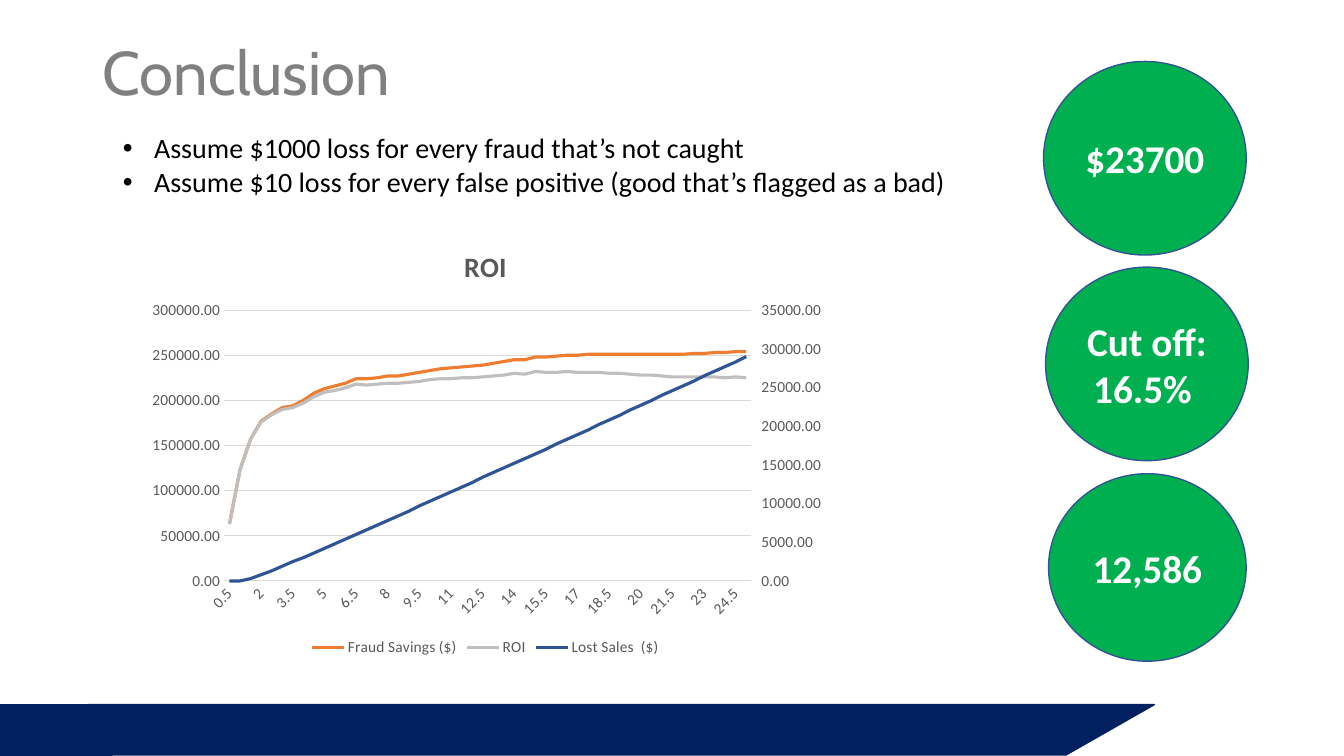
from copy import deepcopy
from dataclasses import dataclass

from pptx import Presentation
from pptx.chart.data import CategoryChartData
from pptx.dml.color import RGBColor
from pptx.enum.chart import XL_CHART_TYPE, XL_LEGEND_POSITION, XL_MARKER_STYLE, XL_TICK_MARK
from pptx.enum.shapes import MSO_SHAPE
from pptx.enum.text import MSO_ANCHOR, PP_ALIGN
from pptx.oxml import parse_xml
from pptx.oxml.ns import nsdecls
from pptx.util import Pt

LINE_CHART = XL_CHART_TYPE.LINE
LEGEND_BOTTOM = XL_LEGEND_POSITION.BOTTOM
NO_MARKER = XL_MARKER_STYLE.NONE
NO_TICK = XL_TICK_MARK.NONE
RECTANGLE = MSO_SHAPE.RECTANGLE
PARALLELOGRAM = MSO_SHAPE.PARALLELOGRAM
OVAL = MSO_SHAPE.OVAL
MIDDLE = MSO_ANCHOR.MIDDLE
TOP = MSO_ANCHOR.TOP
CENTER = PP_ALIGN.CENTER
EMU_PER_PX = 9144

FRAUD_SAVINGS = [
    63, 123, 157, 177, 185, 192, 194, 200, 208, 213, 216, 219, 224, 224, 225, 227, 227,
    229, 231, 233, 235, 236, 237, 238, 239, 241, 243, 245, 245, 248, 248, 249, 250, 250,
    251, 251, 251, 251, 251, 251, 251, 251, 251, 251, 252, 252, 253, 253, 254, 254]
ROI = [
    63, 123, 157, 176, 184, 190, 192, 197, 204, 209, 211, 214, 218, 217, 218, 219, 219,
    220, 221, 223, 224, 224, 225, 225, 226, 227, 228, 230, 229, 232, 231, 231, 232, 231,
    231, 231, 230, 230, 229, 228, 228, 227, 226, 226, 226, 226, 226, 225, 226, 225]
LOST_SALES = [
    0, 0, 3, 8, 13, 19, 25, 30, 36, 42, 48, 54, 60, 66, 72, 78, 84, 90, 97, 103, 109, 115,
    121, 127, 134, 140, 146, 152, 158, 164, 170, 177, 183, 189, 195, 202, 208, 214, 221,
    227, 233, 240, 246, 252, 258, 265, 271, 277, 283, 290]


@dataclass(frozen=True)
class Theme:
    """Colours, fonts and type sizes of the slide."""
    navy: str = "002060"
    green: str = "00B050"
    outline: str = "325491"
    white: str = "FFFFFF"
    black: str = "000000"
    heading: str = "808080"
    label: str = "595959"
    grid: str = "D9D9D9"
    orange: str = "ED7D31"
    silver: str = "BFBFBF"
    blue: str = "2F5597"
    heading_font: str = "Cabin"
    body_font: str = "Calibri"
    heading_size: int = 44
    figure_size: int = 28
    body_size: int = 20
    label_size: int = 11


def px(length):
    """Turn whole pixels into EMU."""
    return length * EMU_PER_PX


class SlideBuilder:
    """Holds the theme and the current slide and draws each kind of element."""

    def __init__(self, page, theme):
        """Keep the page and its theme."""
        self.page = page
        self.theme = theme

    def style(self, font, size, color, bold=False, name=None):
        """Set typeface, size, colour and weight of a font."""
        font.name = name or self.theme.body_font
        font.size = Pt(size)
        font.bold = bold
        font.color.rgb = RGBColor.from_string(color)

    def stroke(self, line, color, width):
        """Set colour and width of a line."""
        line.color.rgb = RGBColor.from_string(color)
        line.width = Pt(width)

    def shape(self, kind, bounds, fill, outline):
        """Add a filled preset shape."""
        shape = self.page.shapes.add_shape(kind, *map(px, bounds))
        shape.shadow.inherit = False
        shape.fill.solid()
        shape.fill.fore_color.rgb = RGBColor.from_string(fill)
        self.stroke(shape.line, outline, 1)
        return shape

    def footer(self):
        """Add the slanted band along the bottom."""
        navy = self.theme.navy
        band = self.shape(PARALLELOGRAM, (0, 699, 1145, 50), navy, navy)
        band.adjustments[0] = 1.754
        self.shape(RECTANGLE, (0, 699, 111, 50), navy, navy)

    def figure(self, bounds, text):
        """Add a green circle with a key figure."""
        theme = self.theme
        frame = self.shape(OVAL, bounds, theme.green, theme.outline).text_frame
        frame.word_wrap = True
        frame.vertical_anchor = MIDDLE
        para = frame.paragraphs[0]
        para.text = text
        para.alignment = CENTER
        self.style(para.font, theme.figure_size, theme.white, bold=True)

    def text_frame(self, bounds, anchor, wrap):
        """Add a text box and return its frame."""
        frame = self.page.shapes.add_textbox(*map(px, bounds)).text_frame
        frame.word_wrap = wrap
        frame.vertical_anchor = anchor
        return frame

    def title(self, bounds, text):
        """Add the slide heading."""
        theme = self.theme
        para = self.text_frame(bounds, MIDDLE, True).paragraphs[0]
        para.text = text
        para.line_spacing = 0.9
        self.style(para.font, theme.heading_size, theme.heading, name=theme.heading_font)

    def bullets(self, bounds, lines):
        """Add a bulleted list."""
        frame = self.text_frame(bounds, TOP, False)
        for index, line in enumerate(lines):
            para = frame.add_paragraph() if index else frame.paragraphs[0]
            para.text = line
            properties = para._p.get_or_add_pPr()
            properties.set("marL", str(px(31)))
            properties.set("indent", str(px(-31)))
            properties.append(parse_xml(f'<a:buFont {nsdecls("a")} typeface="Arial"/>'))
            properties.append(parse_xml(f'<a:buChar {nsdecls("a")} char="•"/>'))
            self.style(para.font, self.theme.body_size, self.theme.black)

    def line_chart(self, bounds, title, categories, series):
        """Add a line chart whose last series uses a right-hand axis."""
        theme = self.theme
        data = CategoryChartData(number_format="0.00")
        data.categories = categories
        for name, values, _ in series:
            data.add_series(name, values)
        chart = self.page.shapes.add_chart(LINE_CHART, *map(px, bounds), data).chart
        self.style(chart.font, theme.label_size, theme.label)
        chart.has_title = True
        heading = chart.chart_title.text_frame.paragraphs[0]
        heading.text = title
        self.style(heading.font, theme.body_size, theme.label, bold=True)
        chart.has_legend = True
        chart.legend.position = LEGEND_BOTTOM
        chart.legend.include_in_layout = False
        for line, (_, _, color) in zip(chart.plots[0].series, series):
            line.smooth = False
            line.marker.style = NO_MARKER
            self.stroke(line.format.line, color, 2.25)
        self.axes(chart)
        self.place_plot(chart, 0.125, 0.19, 0.757, 0.625)
        self.right_axis(chart, 35000, 5000)

    def axes(self, chart):
        """Format the category axis and the left value axis."""
        category, value = chart.category_axis, chart.value_axis
        category.major_tick_mark = value.major_tick_mark = NO_TICK
        self.stroke(category.format.line, self.theme.grid, 0.75)
        category._element.get_or_add_txPr().bodyPr.set("rot", "-2700000")
        skip = parse_xml(f'<c:tickLblSkip {nsdecls("c")} val="3"/>')
        category._element.xpath("c:noMultiLvlLbl")[0].addprevious(skip)
        value.minimum_scale, value.maximum_scale, value.major_unit = 0, 300000, 50000
        value.format.line.fill.background()
        value.has_major_gridlines = True
        self.stroke(value.major_gridlines.format.line, self.theme.grid, 0.75)
        value.tick_labels.number_format = "0.00"
        value.tick_labels.number_format_is_linked = False

    def place_plot(self, chart, x, y, w, h):
        """Fix the inner plot area as fractions of the chart."""
        area = chart._chartSpace.chart.plotArea
        for layout in area.xpath("c:layout"):
            area.remove(layout)
        parts = "".join(f'<c:{key} val="{val}"/>' for key, val in
                        (("layoutTarget", "inner"), ("xMode", "edge"), ("yMode", "edge"),
                         ("x", x), ("y", y), ("w", w), ("h", h)))
        area.insert(0, parse_xml(f'<c:layout {nsdecls("c")}><c:manualLayout>{parts}'
                                 '</c:manualLayout></c:layout>'))

    def right_axis(self, chart, maximum, step):
        """Move the last series to a second pair of axes."""
        area = chart._chartSpace.chart.plotArea
        left_plot = area.xpath("c:lineChart")[0]
        category, value = area.xpath("c:catAx")[0], area.xpath("c:valAx")[0]
        plot, right_category, right_value = map(deepcopy, (left_plot, category, value))
        left_plot.remove(left_plot.xpath("c:ser")[-1])
        for line in plot.xpath("c:ser")[:-1]:
            plot.remove(line)
        ids = {value.xpath("c:axId/@val")[0]: "5001", category.xpath("c:axId/@val")[0]: "5002"}
        for part in (plot, right_category, right_value):
            for node in part.xpath("c:axId | c:crossAx"):
                node.set("val", ids[node.get("val")])
        left_plot.addnext(plot)
        value.addnext(right_value)
        right_value.addnext(right_category)
        right_category.xpath("c:delete")[0].set("val", "1")
        right_value.remove(right_value.xpath("c:majorGridlines")[0])
        for query, setting in (("c:axPos", "r"), ("c:crosses", "max"), ("c:majorUnit", step),
                               ("c:scaling/c:max", maximum), ("c:majorTickMark", "out")):
            right_value.xpath(query)[0].set("val", str(setting))


def main():
    """Build the conclusion slide."""
    theme = Theme()
    deck = Presentation()
    deck.slide_width, deck.slide_height = px(1333), px(750)
    slide = SlideBuilder(deck.slides.add_slide(deck.slide_layouts[6]), theme)
    slide.footer()
    slide.title((92, 24, 1150, 102), "Conclusion")
    slide.line_chart((136, 226, 691, 430), "ROI", [f"{n / 2:g}" for n in range(1, 51)], [
        ("Fraud Savings ($)", [value * 1000 for value in FRAUD_SAVINGS], theme.orange),
        ("ROI", [value * 1000 for value in ROI], theme.silver),
        ("Lost Sales  ($)", [value * 100 for value in LOST_SALES], theme.blue)])
    slide.figure((1035, 61, 201, 192), "$23700")
    slide.figure((1037, 265, 201, 192), "Cut off: 16.5% ")
    slide.figure((1040, 470, 196, 186), "12,586")
    slide.bullets((112, 125, 844, 111), [
        "Assume $1000 loss for every fraud that’s not caught",
        "Assume $10 loss for every false positive (good that’s flagged as a bad)"])
    deck.save("out.pptx")


if __name__ == "__main__":
    main()
